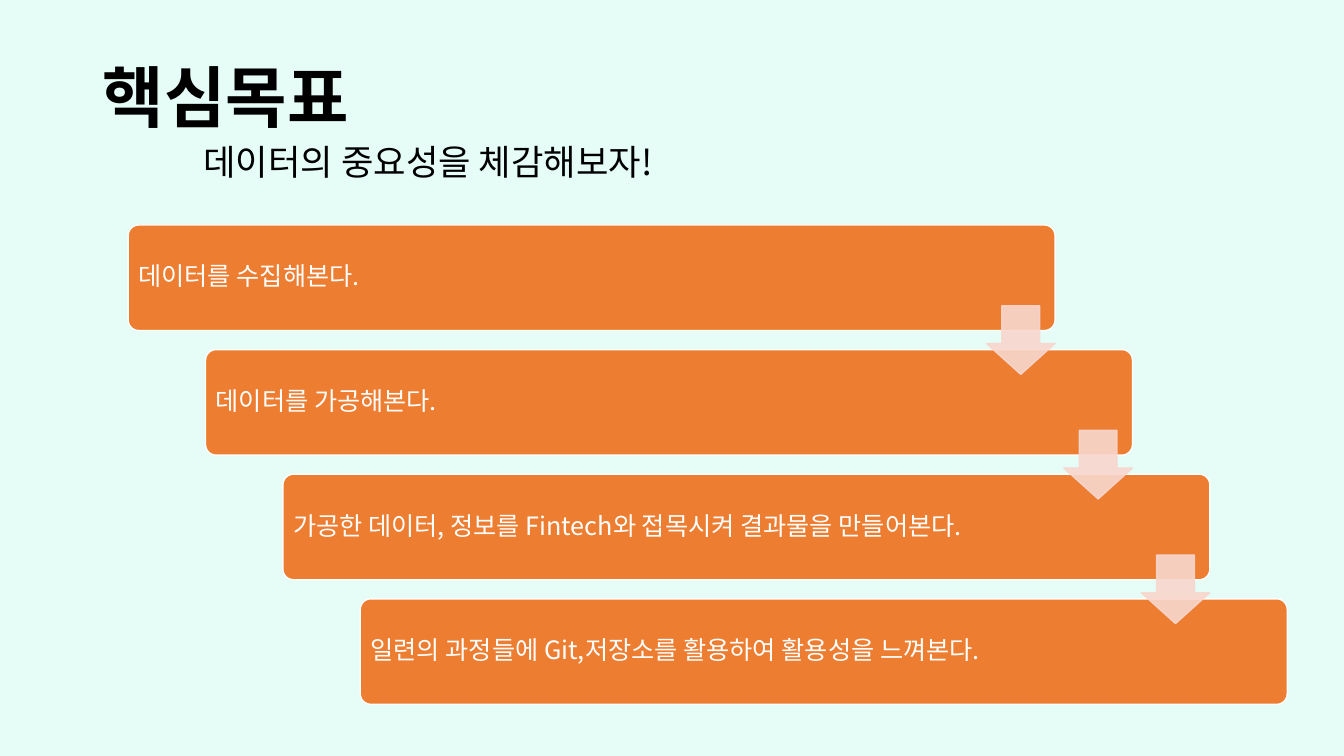
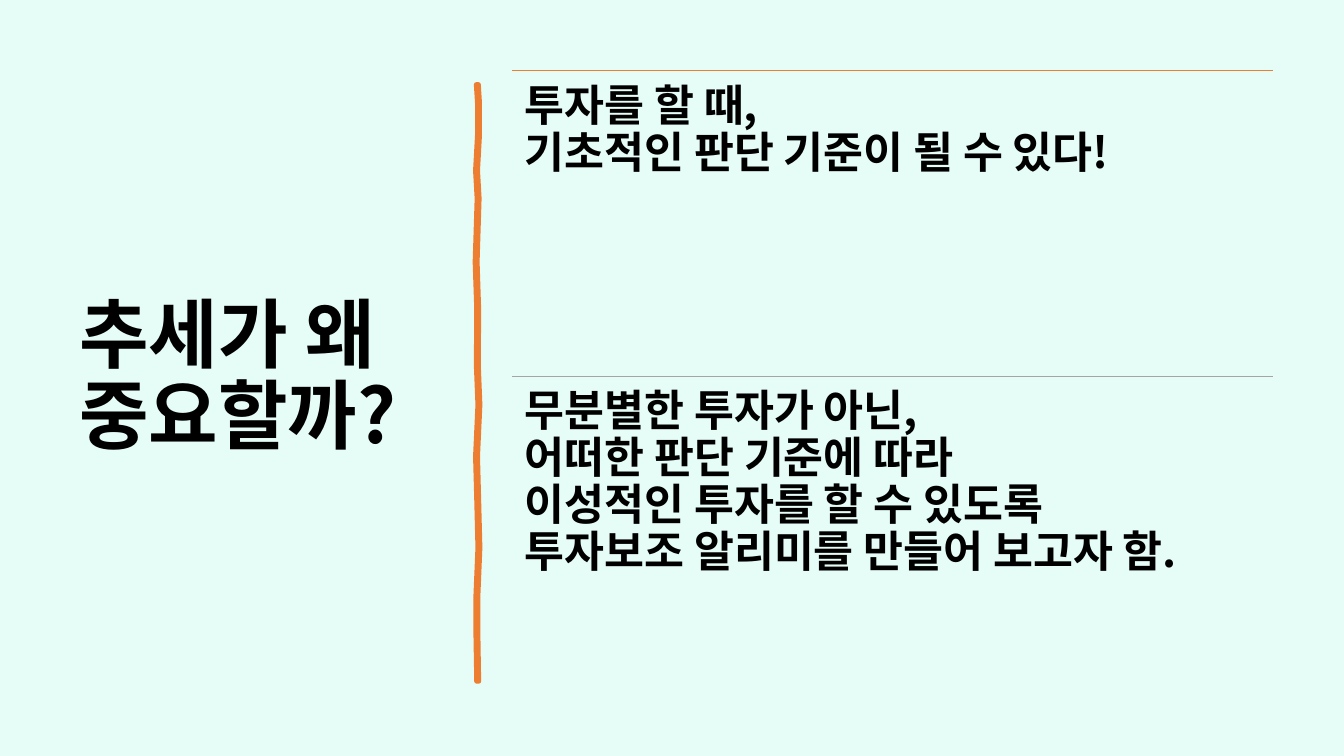
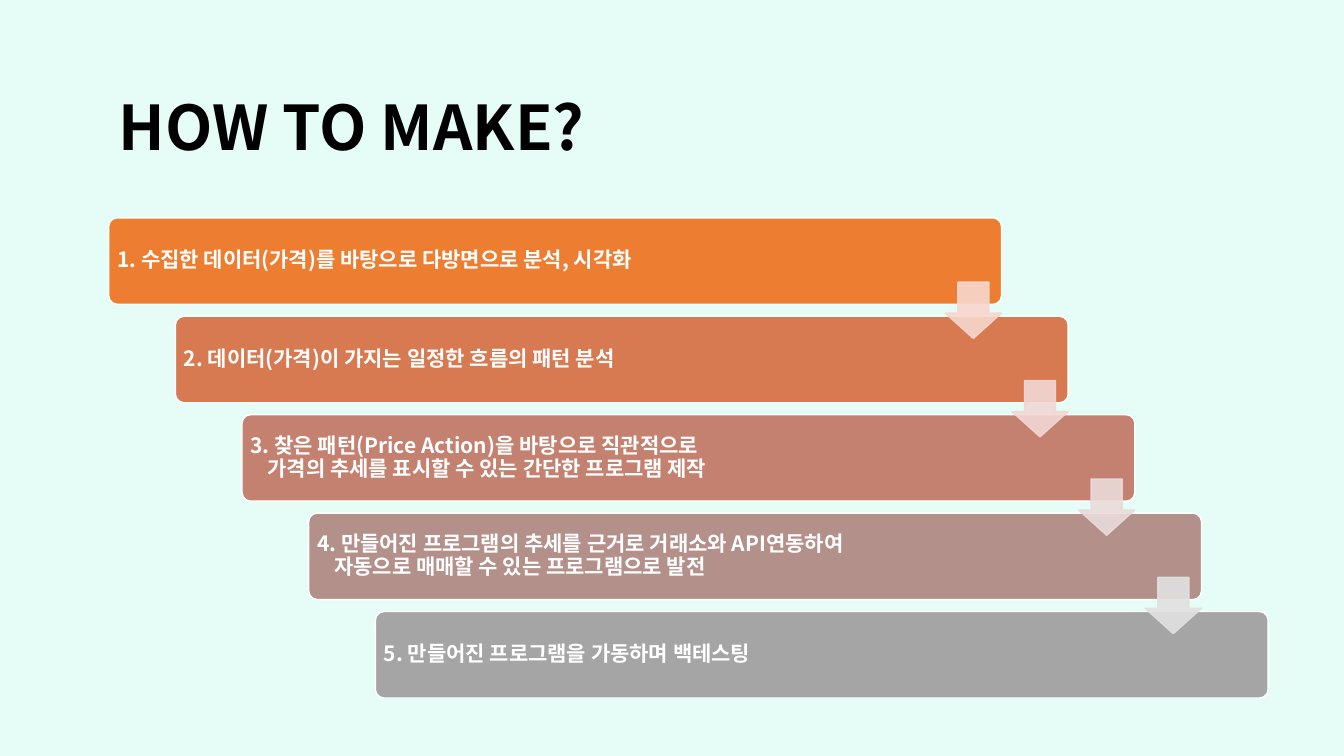
from dataclasses import dataclass

from lxml import etree
from pptx import Presentation
from pptx.dml.color import RGBColor
from pptx.enum import shapes, text
from pptx.oxml.ns import qn
from pptx.util import Cm, Pt


@dataclass(frozen=True)
class Theme:
    font: str = "Noto Sans CJK KR"
    background: str = "E5FCF7"
    ink: str = "000000"
    white: str = "FFFFFF"
    orange: str = "ED7D31"
    gray: str = "A5A5A5"
    peach: str = "F8D7CE"
    fades: tuple = ("ED7D31", "D87A51", "C48170", "B4908B", "A5A5A5")
    arrow_fades: tuple = ("F8D7CE", "F1D8D4", "E9DBDA", "E1E1E1")
    goal_title: float = 47.7
    subtitle: float = 25.2
    question: float = 54
    how_title: float = 44
    reason: float = 31
    goal: float = 18
    step: float = 15


T = Theme()
rgb = RGBColor.from_string


def write(sp, content, size, color=T.ink, bold=False, inset=(0.25, 0.13),
          anchor="MIDDLE", indent=0, rest_indent=0, before=0):
    """Add one paragraph per line; rest_indent applies after the first line."""
    tf = sp.text_frame
    tf.word_wrap = True
    tf.vertical_anchor = text.MSO_ANCHOR[anchor]
    tf.margin_left = tf.margin_right = Cm(inset[0])
    tf.margin_top = tf.margin_bottom = Cm(inset[1])
    for i, line in enumerate(content.split("\n")):
        p = tf.add_paragraph() if tf.text else tf.paragraphs[0]
        p.alignment = text.PP_ALIGN.LEFT
        p.line_spacing = 0.9
        if before:
            p.space_before = Pt(before)
        left = rest_indent if i else indent
        if left:
            p._p.get_or_add_pPr().set("marL", str(Cm(left)))
        r = p.add_run()
        r.text = line
        r.font.size, r.font.bold, r.font.name = Pt(size), bold, T.font
        r.font.color.rgb = rgb(color)
        etree.SubElement(r._r.get_or_add_rPr(), qn("a:ea"), typeface=T.font)


def staircase(s, steps, fills, arrow_fills, left, top, dx, dy, width, height, arrow, **fmt):
    """Draw descending boxes, with an arrow centred on each gap at the right edge."""
    parts = [(shapes.MSO_SHAPE.ROUNDED_RECTANGLE, left + i * dx, top + i * dy,
              width, height, (0.1,), fills[i], T.white, step)
             for i, step in enumerate(steps)]
    parts += [(shapes.MSO_SHAPE.DOWN_ARROW, left + i * dx + width - arrow,
               top + i * dy + (height + dy - arrow) / 2,
               arrow, arrow, (0.55, 0.45), fill, fill, "")
              for i, fill in enumerate(arrow_fills)]
    for kind, x, y, w, h, adjustments, fill, line, content in parts:
        sp = s.shapes.add_shape(kind, Cm(x), Cm(y), Cm(w), Cm(h))
        sp.shadow.inherit = False
        for i, value in enumerate(adjustments):
            sp.adjustments[i] = value
        sp.fill.solid()
        sp.fill.fore_color.rgb = rgb(fill)
        sp.line.color.rgb = rgb(line)
        sp.line.width = Pt(1)
        if content:
            write(sp, content, color=T.white, **fmt)
        else:
            for clr in sp.element.spPr.iter(qn("a:srgbClr")):
                etree.SubElement(clr, qn("a:alpha"), val="90000")


prs = Presentation()
prs.slide_width, prs.slide_height = Cm(33.87), Cm(19.05)
goals, reasons, method = [prs.slides.add_slide(prs.slide_layouts[6]) for _ in range(3)]
for s in prs.slides:
    s.background.fill.solid()
    s.background.fill.fore_color.rgb = rgb(T.background)

# Titles
for s, title, size, box in (
    (goals, "핵심목표", T.goal_title, (2.34, 1.55, 29.21, 3.15)),
    (reasons, "추세가 왜 중요할까?", T.question, (1.75, 1.78, 9.5, 15.52)),
    (method, "HOW TO MAKE?", T.how_title, (2.74, 1.45, 29.21, 3.68)),
):
    sp = s.shapes.add_textbox(*map(Cm, box))
    write(sp, title, size, bold=True)
    if s is goals:
        write(sp, "데이터의 중요성을 체감해보자!", T.subtitle, indent=2.54, before=6)

# Goals
staircase(
    goals,
    ("데이터를 수집해본다.",
     "데이터를 가공해본다.",
     "가공한 데이터, 정보를 Fintech와 접목시켜 결과물을 만들어본다.",
     "일련의 과정들에 Git,저장소를 활용하여 활용성을 느껴본다."),
    [T.orange] * 4, [T.peach] * 3,
    left=3.23, top=5.67, dx=1.95, dy=3.14, width=23.36, height=2.66, arrow=1.73,
    size=T.goal, inset=(0.18, 0.18))

# Hand-drawn divider: a narrow band around a wavering spine
spine = ((2.13, 12.03), (2.6, 12.06), (3.4, 12.06), (4.3, 12.01), (5, 12.05),
         (6.6, 12), (7.8, 12.04), (9.2, 12.03), (10.2, 12.07), (11.5, 12.01),
         (12.6, 12.04), (13.8, 12.07), (15, 12.02), (16, 12.02), (17.17, 12.04))
outline = [(x + 0.03, y) for y, x in spine] + [(x - 0.03, y) for y, x in reversed(spine)]
points = [(Cm(x), Cm(y)) for x, y in outline]
builder = reasons.shapes.build_freeform(*points[0])
builder.add_line_segments(points[1:], close=True)
divider = builder.convert_to_shape()
divider.shadow.inherit = False
divider.fill.solid()
divider.fill.fore_color.rgb = divider.line.color.rgb = rgb(T.orange)
divider.line.width = Pt(3.25)

# Reasons
left, top, width, height = 12.9, 1.78, 19.18, 7.7
for i, (color, reason) in enumerate((
    (T.orange, "투자를 할 때,\n기초적인 판단 기준이 될 수 있다!"),
    (T.gray, "무분별한 투자가 아닌,\n어떠한 판단 기준에 따라\n"
             "이성적인 투자를 할 수 있도록\n투자보조 알리미를 만들어 보고자 함."),
)):
    y = top + i * height
    rule = reasons.shapes.add_connector(
        shapes.MSO_CONNECTOR.STRAIGHT, Cm(left), Cm(y), Cm(left + width), Cm(y))
    rule.line.color.rgb = rgb(color)
    rule.line.width = Pt(1)
    etree.SubElement(rule._element.spPr, qn("a:effectLst"))
    sp = reasons.shapes.add_textbox(Cm(left), Cm(y), Cm(width), Cm(height))
    write(sp, reason, T.reason, bold=True, inset=(0.33, 0.33), anchor="TOP")

# Method
staircase(
    method,
    ("1. 수집한 데이터(가격)를 바탕으로 다방면으로 분석, 시각화",
     "2. 데이터(가격)이 가지는 일정한 흐름의 패턴 분석",
     "3. 찾은 패턴(Price Action)을 바탕으로 직관적으로\n"
     "가격의 추세를 표시할 수 있는 간단한 프로그램 제작",
     "4. 만들어진 프로그램의 추세를 근거로 거래소와 API연동하여\n"
     "자동으로 매매할 수 있는 프로그램으로 발전",
     "5. 만들어진 프로그램을 가동하며 백테스팅"),
    T.fades, T.arrow_fades,
    left=2.74, top=5.49, dx=1.68, dy=2.48, width=22.5, height=2.18, arrow=1.42,
    size=T.step, bold=True, inset=(0.15, 0.15), rest_indent=0.43)

prs.save("out.pptx")
